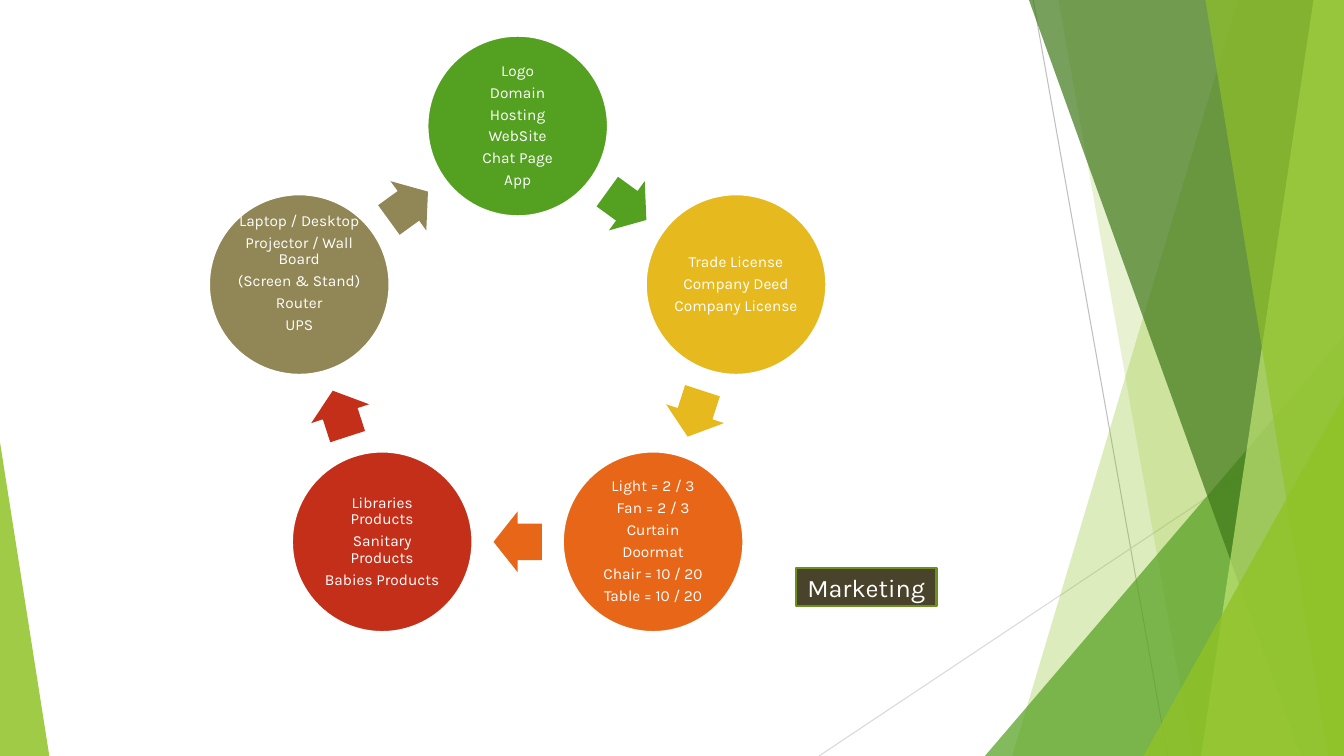
"""Build the marketing cycle slide with its green faceted backdrop."""
import math
from dataclasses import dataclass

import lxml.etree
import pptx
import pptx.dml.color
import pptx.enum.shapes
import pptx.enum.text
import pptx.oxml.ns
import pptx.presentation
import pptx.shapes.autoshape
import pptx.slide
import pptx.text.text
import pptx.util

PX = 9525
WIDTH, HEIGHT = 1280, 720
FONT = "Karla"
WHITE = "FFFFFF"
RING_X, RING_Y, RING_RADIUS = 493, 339, 219
CIRCLE_SIZE = 172
ARROW_WIDTH, ARROW_HEIGHT = 46, 58
SHAPES = pptx.enum.shapes.MSO_SHAPE


@dataclass(frozen=True)
class Ray:
    """A thin backdrop line."""
    start: tuple[int, int]
    end: tuple[int, int]
    color: str


@dataclass(frozen=True)
class Shard:
    """A full-height facet bounded by the right edge of the slide."""
    top_x: int
    foot_x: int
    color: str
    opacity: int


@dataclass(frozen=True)
class Wedge:
    """A triangle standing on the bottom edge of the slide."""
    left: int
    width: int
    height: int
    apex: float
    color: str
    opacity: int


@dataclass(frozen=True)
class Stage:
    """One circle of the cycle and the arrow that leaves it."""
    color: str
    items: tuple[str, ...]
    lift: int = 0


RAYS = (
    Ray((984, 0), (1112, HEIGHT), "BFBFBF"),
    Ray((WIDTH, 387), (780, HEIGHT), "D9D9D9"),
)
FACETS: tuple[Shard | Wedge, ...] = (
    Shard(1179, 964, "90C226", 30),
    Shard(1008, 1136, "90C226", 20),
    Wedge(938, 342, 400, 1, "54A021", 72),
    Shard(980, 1239, "3F7819", 70),
    Shard(1251, 1144, "C0E474", 70),
    Shard(1148, 1265, "90C226", 65),
    Wedge(1089, 191, 343, 1, "90C226", 80),
    Wedge(0, 47, 299, 0, "90C226", 85),
)
STAGES = (
    Stage("54A021", ("Logo", "Domain", "Hosting", "WebSite", "Chat Page", "App")),
    Stage("E6B91E", ("Trade License", "Company Deed", "Company License")),
    Stage("E76618", ("Light = 2 / 3", "Fan = 2 / 3", "Curtain", "Doormat",
                     "Chair = 10 / 20", "Table = 10 / 20")),
    Stage("C42F1A", ("Libraries Products", "Sanitary Products", "Babies Products")),
    Stage("918655", ("Laptop / Desktop", "Projector / Wall Board",
                     "(Screen & Stand)", "Router", "UPS"), lift=21),
)


def px(length: float) -> int:
    """Turn pixels into EMU."""
    return round(length) * PX


def rgb(color: str) -> pptx.dml.color.RGBColor:
    """Turn a hex string into a colour."""
    return pptx.dml.color.RGBColor.from_string(color)


def paint(shape: pptx.shapes.autoshape.Shape, color: str, opacity: int = 100,
          outline: str | None = None) -> None:
    """Set the fill, opacity and outline of a shape and drop its shadow."""
    shape.shadow.inherit = False
    shape.fill.solid()
    shape.fill.fore_color.rgb = rgb(color)
    if opacity < 100:
        tint = shape.fill._xPr.find(".//" + pptx.oxml.ns.qn("a:srgbClr"))
        lxml.etree.SubElement(tint, pptx.oxml.ns.qn("a:alpha"), val=str(opacity * 1000))
    if outline:
        shape.line.color.rgb = rgb(outline)
        shape.line.width = pptx.util.Pt(1.5)
    else:
        shape.line.fill.background()


def write(frame: pptx.text.text.TextFrame, text: str, size: int) -> None:
    """Write centred white text into a frame."""
    frame.text = text
    frame.vertical_anchor = pptx.enum.text.MSO_ANCHOR.MIDDLE
    for paragraph in frame.paragraphs:
        paragraph.alignment = pptx.enum.text.PP_ALIGN.CENTER
        for run in paragraph.runs:
            run.font.name = FONT
            run.font.size = pptx.util.Pt(size)
            run.font.color.rgb = rgb(WHITE)


def draw_ray(slide: pptx.slide.Slide, ray: Ray) -> None:
    """Draw one backdrop line."""
    connector = slide.shapes.add_connector(
        pptx.enum.shapes.MSO_CONNECTOR.STRAIGHT, *map(px, ray.start + ray.end))
    connector.line.color.rgb = rgb(ray.color)
    connector.line.width = pptx.util.Pt(0.75)
    properties = connector._element.spPr
    lxml.etree.SubElement(properties, pptx.oxml.ns.qn("a:effectLst"))


def draw_facet(slide: pptx.slide.Slide, facet: Shard | Wedge) -> None:
    """Draw one translucent backdrop facet."""
    if isinstance(facet, Shard):
        outline = slide.shapes.build_freeform(facet.top_x, 0, scale=PX)
        outline.add_line_segments(
            [(WIDTH, 0), (WIDTH, HEIGHT), (facet.foot_x, HEIGHT)], close=True)
        shape = outline.convert_to_shape()
    else:
        shape = slide.shapes.add_shape(
            SHAPES.ISOSCELES_TRIANGLE, px(facet.left), px(HEIGHT - facet.height),
            px(facet.width), px(facet.height))
        shape.adjustments[0] = facet.apex
    paint(shape, facet.color, facet.opacity)


def add_on_ring(slide: pptx.slide.Slide, kind: SHAPES, angle: float, radius: float,
                width: int, height: int) -> pptx.shapes.autoshape.Shape:
    """Add a shape centred on the ring, at an angle clockwise from the top."""
    turn = math.radians(angle)
    left = RING_X + radius * math.sin(turn) - width / 2
    top = RING_Y - radius * math.cos(turn) - height / 2
    return slide.shapes.add_shape(kind, px(left), px(top), px(width), px(height))


def draw_stage(slide: pptx.slide.Slide, stage: Stage, angle: float, step: float) -> None:
    """Draw a circle with its items and the arrow to the next circle."""
    circle = add_on_ring(slide, SHAPES.OVAL, angle, RING_RADIUS, CIRCLE_SIZE, CIRCLE_SIZE)
    paint(circle, stage.color, outline=WHITE)
    frame = circle.text_frame
    frame.word_wrap = True
    frame.margin_left = frame.margin_right = frame.margin_top = px(2)
    frame.margin_bottom = px(2 + stage.lift)
    write(frame, "\n".join(stage.items), 11)
    for paragraph in frame.paragraphs:
        paragraph.line_spacing = 0.9
        paragraph.space_after = pptx.util.Pt(3.8)

    heading = angle + step / 2
    chord_distance = RING_RADIUS * math.cos(math.radians(step / 2))
    arrow = add_on_ring(slide, SHAPES.RIGHT_ARROW, heading, chord_distance,
                        ARROW_WIDTH, ARROW_HEIGHT)
    arrow.rotation = heading
    arrow.adjustments[0] = 0.6
    arrow.adjustments[1] = 0.5
    paint(arrow, stage.color)


def draw_title(slide: pptx.slide.Slide) -> None:
    """Place the slide title as a dark label."""
    title = slide.shapes.title
    title.left, title.top, title.width, title.height = map(px, (758, 541, 134, 36))
    paint(title, "48432A", outline="6B901C")
    write(title.text_frame, "Marketing", 18)
    title.text_frame.word_wrap = False
    title.text_frame.auto_size = pptx.enum.text.MSO_AUTO_SIZE.NONE


def main() -> None:
    """Build and save the slide."""
    deck = pptx.Presentation()
    deck.slide_width, deck.slide_height = px(WIDTH), px(HEIGHT)
    slide = deck.slides.add_slide(deck.slide_layouts[5])
    for ray in RAYS:
        draw_ray(slide, ray)
    for facet in FACETS:
        draw_facet(slide, facet)
    step = 360 / len(STAGES)
    for index, stage in enumerate(STAGES):
        draw_stage(slide, stage, index * step, step)
    draw_title(slide)
    deck.save("out.pptx")


if __name__ == "__main__":
    main()
